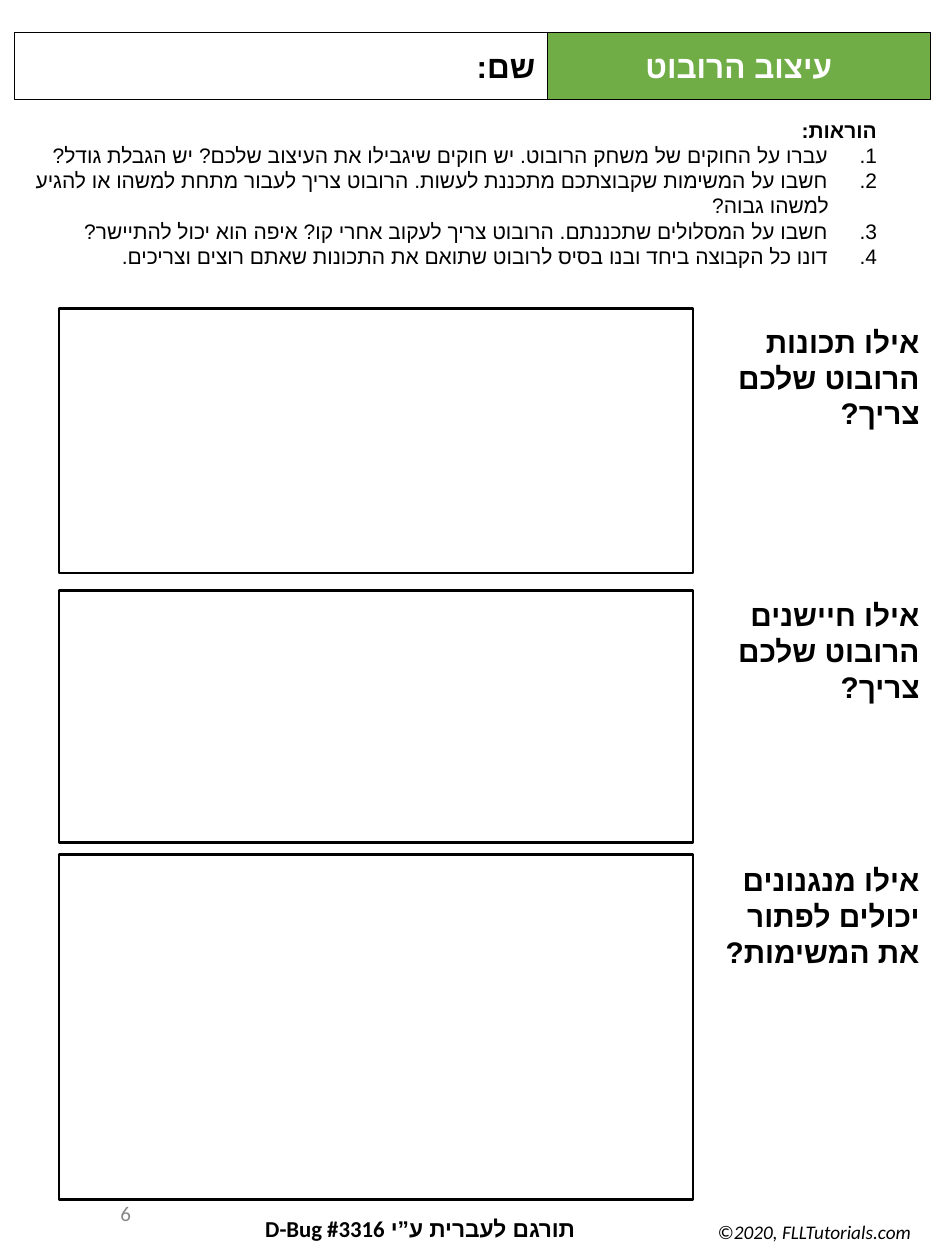
"""Build the robot design worksheet."""
from dataclasses import dataclass

from lxml import etree
from pptx import Presentation
from pptx.dml.color import RGBColor
from pptx.enum.shapes import MSO_SHAPE
from pptx.enum.text import MSO_ANCHOR, PP_ALIGN
from pptx.oxml.ns import qn
from pptx.util import Cm, Pt

RECT = MSO_SHAPE.RECTANGLE
TOP, MIDDLE = MSO_ANCHOR.TOP, MSO_ANCHOR.MIDDLE
RIGHT, CENTER = PP_ALIGN.RIGHT, PP_ALIGN.CENTER


@dataclass(frozen=True)
class Theme:
    """Hold the colours, fonts and type sizes."""
    font: str = "Calibri"
    script: str = "Arial"
    black: str = "000000"
    white: str = "FFFFFF"
    green: str = "70AD47"
    grey: str = "888888"
    title: int = 18
    label: int = 17
    credit: int = 13
    body: int = 12
    small: int = 11
    thin: float = 0.75
    thick: float = 1.5
    indent: float = 0.97


def write(para, text, theme, *, size, color=None, bold=False, italic=False,
          align=RIGHT, rtl=True, number=False):
    """Write one formatted run into a paragraph."""
    para.alignment = align
    props = para._p.get_or_add_pPr()
    if rtl:
        props.set("rtl", "1")
    if number:
        props.set("marL", str(Cm(theme.indent)))
        props.set("indent", str(-Cm(theme.indent)))
        etree.SubElement(props, qn("a:buFont"), typeface="+mj-lt")
        etree.SubElement(props, qn("a:buAutoNum"), type="arabicPeriod")
    run = para.add_run()
    run.text = text
    font = run.font
    font.name, font.size = theme.font, Pt(size)
    font.bold, font.italic = bold, italic
    font.color.rgb = RGBColor.from_string(color or theme.black)
    etree.SubElement(run._r.get_or_add_rPr(), qn("a:cs"), typeface=theme.script)


class Sheet:
    """Place styled elements on the current slide."""

    def __init__(self, slide, theme):
        """Keep the slide and its theme."""
        self.slide, self.theme = slide, theme

    def text(self, area, text, anchor=TOP, **style):
        """Add a wrapped text box and return its frame."""
        frame = self.slide.shapes.add_textbox(*map(Cm, area)).text_frame
        frame.word_wrap = True
        frame.vertical_anchor = anchor
        write(frame.paragraphs[0], text, self.theme, **style)
        return frame

    def box(self, area, width, fill=None):
        """Add an outlined rectangle and return it."""
        shape = self.slide.shapes.add_shape(RECT, *map(Cm, area))
        shape.shadow.inherit = False
        if fill:
            shape.fill.solid()
            shape.fill.fore_color.rgb = RGBColor.from_string(fill)
        else:
            shape.fill.background()
        shape.line.color.rgb = RGBColor.from_string(self.theme.black)
        shape.line.width = Pt(width)
        return shape

    def banner(self, area, text, fill, **style):
        """Add a filled header cell with a bold caption."""
        frame = self.box(area, self.theme.thin, fill).text_frame
        frame.word_wrap = True
        frame.vertical_anchor = MIDDLE
        write(frame.paragraphs[0], text, self.theme,
              size=self.theme.title, bold=True, **style)

    def steps(self, area, head, items):
        """Add a heading followed by numbered steps."""
        size = self.theme.body
        frame = self.text(area, head, size=size, bold=True)
        for item in items:
            write(frame.add_paragraph(), item, self.theme, size=size, number=True)

    def prompt(self, text, top, height, start):
        """Add a question and its empty answer box."""
        self.text((14.02, start, 4.77, 2.4), text,
                  size=self.theme.label, bold=True)
        self.box((1.19, top, 12.78, height), self.theme.thick)


STEPS = (
    "עברו על החוקים של משחק הרובוט. יש חוקים שיגבילו את העיצוב שלכם? יש הגבלת גודל?",
    "חשבו על המשימות שקבוצתכם מתכננת לעשות. הרובוט צריך לעבור מתחת למשהו או להגיע למשהו גבוה?",
    "חשבו על המסלולים שתכננתם. הרובוט צריך לעקוב אחרי קו? איפה הוא יכול להתיישר?",
    "דונו כל הקבוצה ביחד ובנו בסיס לרובוט שתואם את התכונות שאתם רוצים וצריכים.",
)
PROMPTS = (
    ("אילו תכונות הרובוט שלכם צריך?", 6.22, 5.33, 6.4),
    ("אילו חיישנים הרובוט שלכם צריך?", 11.91, 5.08, 11.91),
    ("אילו מנגנונים יכולים לפתור את המשימות?", 17.23, 6.95, 17.25),
)


def main():
    """Build and save the worksheet."""
    deck = Presentation()
    deck.slide_width, deck.slide_height = Cm(19.05), Cm(25.4)
    theme = Theme()
    sheet = Sheet(deck.slides.add_slide(deck.slide_layouts[6]), theme)
    for prompt in PROMPTS:
        sheet.prompt(*prompt)
    sheet.banner((11.03, 0.65, 7.73, 1.36), "עיצוב הרובוט", theme.green,
                 color=theme.white, align=CENTER)
    sheet.banner((0.3, 0.65, 10.74, 1.36), "שם:", theme.white)
    sheet.steps((-0.3, 2.24, 18.23, 4.45), "הוראות: ", STEPS)
    sheet.text((14.16, 24.47, 4.46, 0.71), "©2020, FLLTutorials.com",
               size=theme.small, italic=True, rtl=False)
    sheet.text((-1.4, 23.78, 4.29, 1.35), "6", MIDDLE,
               size=theme.body, color=theme.grey, rtl=False)
    sheet.text((1.17, 24.36, 10.67, 0.71), "תורגם לעברית ע”י D-Bug #3316",
               size=theme.credit, bold=True)
    deck.save("out.pptx")


if __name__ == "__main__":
    main()
